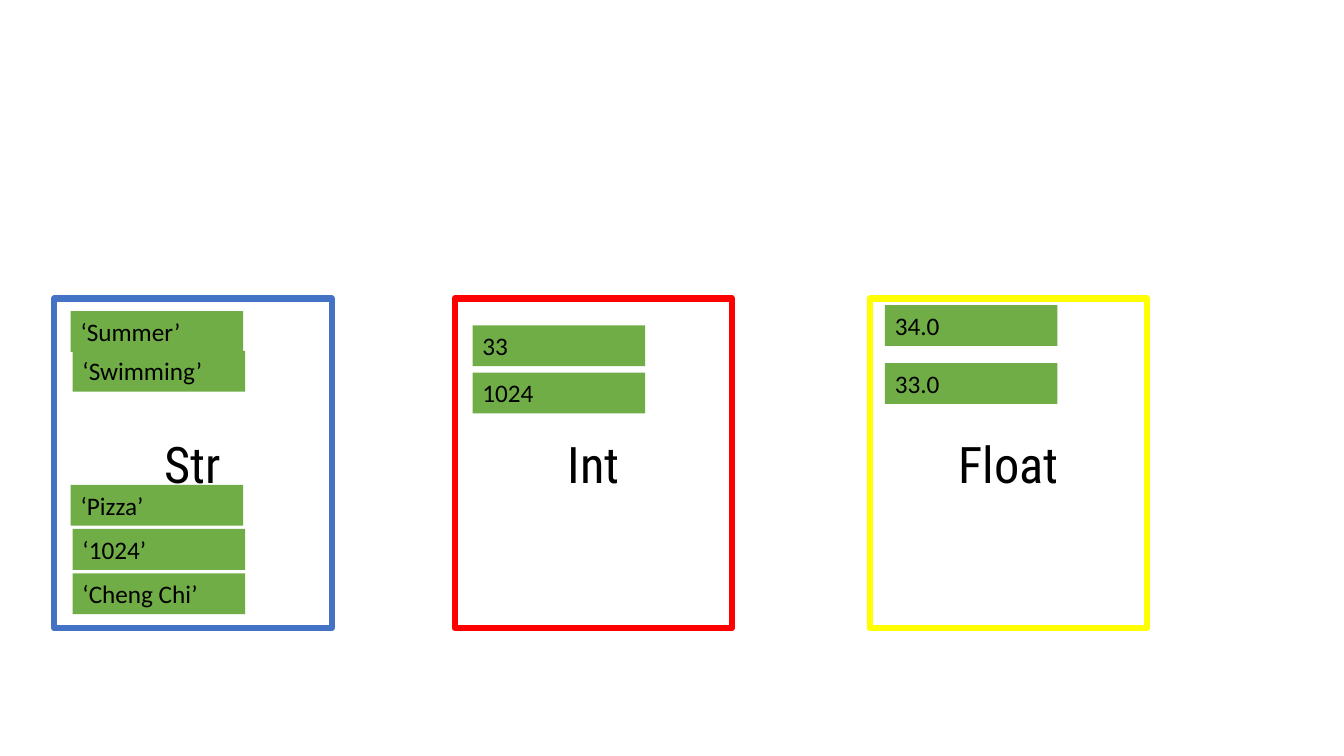
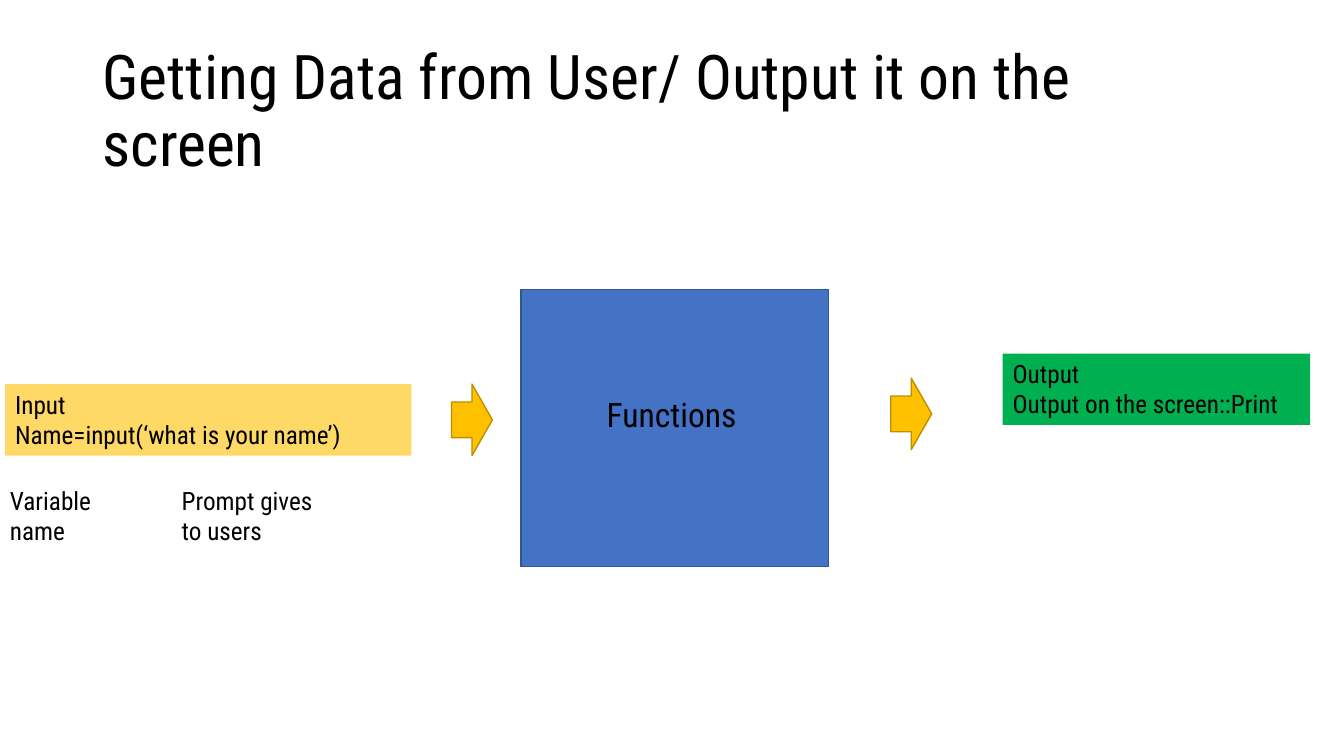
import pptx
import pptx.util
import pptx.dml.color
import pptx.enum.shapes
import pptx.enum.text

Cm = pptx.util.Cm
Pt = pptx.util.Pt
Kind = pptx.enum.shapes.MSO_SHAPE
Align = pptx.enum.text.PP_ALIGN
Anchor = pptx.enum.text.MSO_ANCHOR
Fit = pptx.enum.text.MSO_AUTO_SIZE


class Theme:
    """Colours, fonts and type sizes of the deck."""
    ink, white = "000000", "FFFFFF"
    blue, navy = "4472C4", "325491"
    red, yellow = "FF0000", "FFFF00"
    leaf, green = "70AD47", "00B050"
    sand, gold, ochre = "FFD966", "FFC000", "BD8E00"
    head, body = "Roboto Condensed", "Calibri"
    title, large, medium, small = 44, 36, 24, 18


def style(frame, size, font=Theme.head, align=Align.LEFT, anchor=Anchor.TOP):
    """Wrap and place the text of a frame and format its runs."""
    frame.word_wrap = True
    frame.vertical_anchor = anchor
    for para in frame.paragraphs:
        para.alignment = align
        for run in para.runs:
            run.font.name = font
            run.font.size = Pt(size)
            run.font.color.rgb = pptx.dml.color.RGBColor.from_string(Theme.ink)


def block(slide, at, fill, line=None, width=1, kind=Kind.RECTANGLE):
    """Add a flat filled shape at left, top, width, height in cm."""
    shape = slide.shapes.add_shape(kind, *[Cm(n) for n in at])
    shape.shadow.inherit = False
    shape.fill.solid()
    shape.fill.fore_color.rgb = pptx.dml.color.RGBColor.from_string(fill)
    if line:
        shape.line.color.rgb = pptx.dml.color.RGBColor.from_string(line)
        shape.line.width = Pt(width)
    else:
        shape.line.fill.background()
    return shape


deck = pptx.Presentation()
deck.slide_width, deck.slide_height = Cm(33.87), Cm(19.05)

# Slide 1: data types and their values
slide = deck.slides.add_slide(deck.slide_layouts[6])
types = [
    ("Str", 1.37, Theme.blue),
    ("Int", 11.46, Theme.red),
    ("Float", 21.92, Theme.yellow),
]
for name, left, line in types:
    frame = block(slide, (left, 7.52, 6.99, 8.31), Theme.white, line, 4.5)
    frame.text_frame.text = name
    style(frame.text_frame, Theme.large, align=Align.CENTER, anchor=Anchor.MIDDLE)

values = [
    ("‘Cheng Chi’", 1.83, 14.45),
    ("‘1024’", 1.83, 13.33),
    ("‘Pizza’", 1.78, 12.22),
    ("‘Swimming’", 1.83, 8.84),
    ("‘Summer’", 1.78, 7.84),
    ("1024", 11.91, 9.39),
    ("33", 11.91, 8.2),
    ("33.0", 22.3, 9.15),
    ("34.0", 22.3, 7.69),
]
for text, left, top in values:
    tag = block(slide, (left, top, 4.35, 1.03), Theme.leaf)
    tag.text_frame.text = text
    style(tag.text_frame, Theme.small, Theme.body)
    tag.text_frame.auto_size = Fit.SHAPE_TO_FIT_TEXT

# Slide 2: from input to output
slide = deck.slides.add_slide(deck.slide_layouts[5])
title = slide.shapes.title
title.left, title.top, title.width, title.height = Cm(2.33), Cm(1.01), Cm(29.21), Cm(3.68)
title.text_frame.text = "Getting Data from User/ Output it on the screen"
title.text_frame.paragraphs[0].line_spacing = 0.9
style(title.text_frame, Theme.title, anchor=Anchor.MIDDLE)
title.text_frame.auto_size = Fit.NONE

block(slide, (13.13, 7.29, 7.75, 6.99), Theme.blue, Theme.navy)
for left, top in [(11.38, 9.68), (22.45, 9.53)]:
    block(slide, (left, top, 1.03, 1.8), Theme.gold, Theme.ochre, kind=Kind.RIGHT_ARROW)

ends = [
    ("Input\nName=input(‘what is your name’)", (0.13, 9.68, 10.24, 1.8), Theme.sand),
    ("Output\nOutput on the screen::Print", (25.27, 8.91, 7.75, 1.8), Theme.green),
]
for text, at, fill in ends:
    end = block(slide, at, fill)
    end.text_frame.text = text
    style(end.text_frame, Theme.small)
    end.text_frame.auto_size = Fit.SHAPE_TO_FIT_TEXT

labels = [
    ("Functions", (15.04, 9.8, 5.08, 1.28), Theme.medium),
    ("Variable name", (0, 12.1, 2.72, 1.8), Theme.small),
    ("Prompt gives to users", (4.33, 12.1, 4.4, 1.8), Theme.small),
]
for text, at, size in labels:
    label = slide.shapes.add_textbox(*[Cm(n) for n in at])
    label.text_frame.text = text
    style(label.text_frame, size)
    label.text_frame.auto_size = Fit.SHAPE_TO_FIT_TEXT

deck.save("out.pptx")
